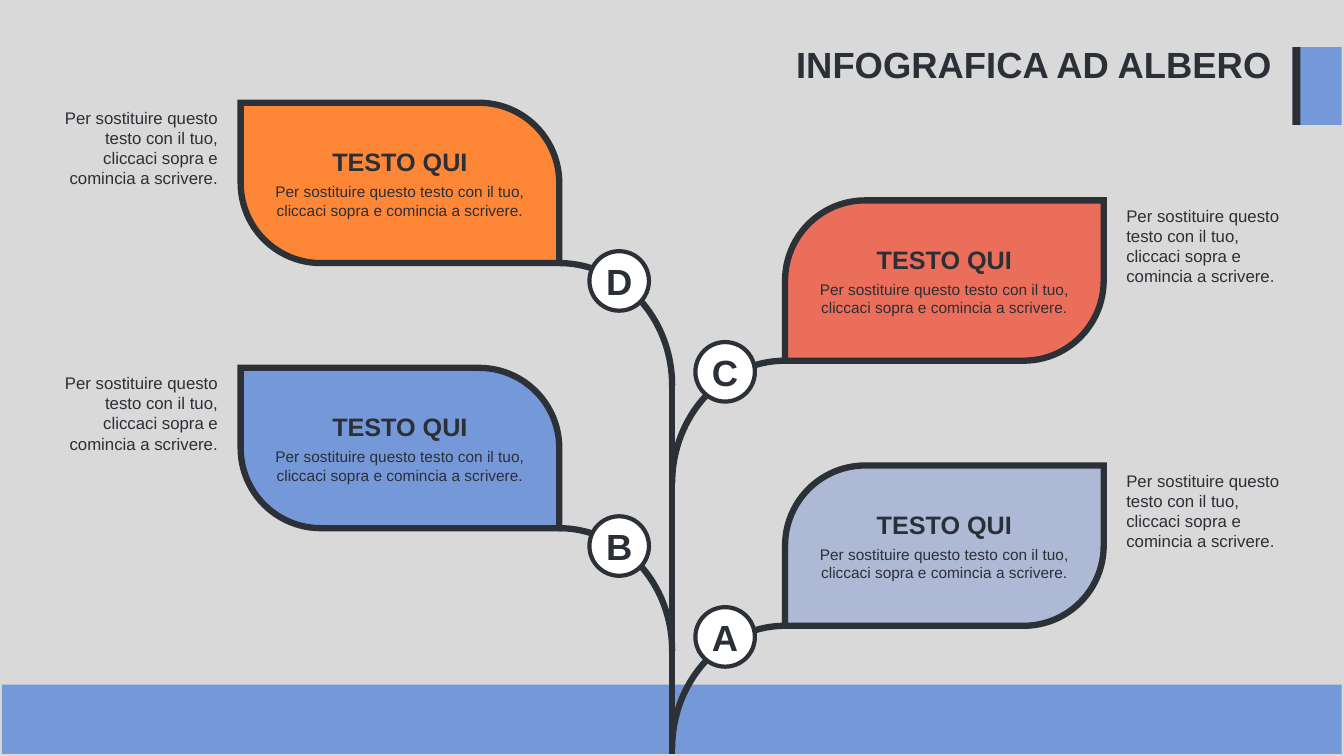
from dataclasses import dataclass

from lxml import etree
from pptx import Presentation
from pptx.dml.color import RGBColor
from pptx.enum.shapes import MSO_CONNECTOR, MSO_SHAPE
from pptx.enum.text import MSO_ANCHOR, MSO_AUTO_SIZE, PP_ALIGN
from pptx.oxml.ns import qn
from pptx.util import Cm, Pt

RECTANGLE, LEAF = MSO_SHAPE.RECTANGLE, MSO_SHAPE.ROUND_2_DIAG_RECTANGLE
ARC, OVAL = MSO_SHAPE.ARC, MSO_SHAPE.OVAL
STRAIGHT = MSO_CONNECTOR.STRAIGHT
LEFT, CENTER, RIGHT = PP_ALIGN.LEFT, PP_ALIGN.CENTER, PP_ALIGN.RIGHT
TOP, MIDDLE = MSO_ANCHOR.TOP, MSO_ANCHOR.MIDDLE
NO_AUTOFIT = MSO_AUTO_SIZE.NONE


@dataclass(frozen=True)
class Theme:
    font: str = "Arial"
    background: str = "D9D9D9"
    ink: str = "2B2F36"
    outline: str = "2C3037"
    blue: str = "7598D9"
    orange: str = "FE8637"
    red: str = "EB6E5A"
    pale: str = "AEBAD5"
    white: str = "FFFFFF"
    title_size: float = 26
    heading_size: float = 18
    note_size: float = 12
    body_size: float = 11
    branch_width: float = 4.5
    badge_width: float = 3


THEME = Theme()
HEADING = "TESTO QUI"
BODY = "Per sostituire questo testo con il tuo, cliccaci sopra e comincia a scrivere."

# Lengths in centimetres
SLIDE_WIDTH, SLIDE_HEIGHT = 33.87, 19.05
TRUNK_X = 16.94
LEAF_WIDTH, LEAF_HEIGHT = 8.03, 4.04
ARC_WIDTH, ARC_HEIGHT = 5.69, 6.17
BADGE_SIZE, BADGE_OFFSET = 1.5, 1.51
NOTE_WIDTH, NOTE_HEIGHT, NOTE_GAP = 4.47, 2.29, 0.32

# Letter, colour, leaf top, badge rise above the leaf's lower edge, on the left side
BRANCHES = [
    ("D", THEME.orange, 2.59, 0.3, True),
    ("C", THEME.red, 5.05, 0.47, False),
    ("B", THEME.blue, 9.27, 0.3, True),
    ("A", THEME.pale, 11.73, 0.47, False),
]


def add_figure(page, kind, box, fill=None, line_width=None):
    figure = page.shapes.add_shape(kind, *map(Cm, box))
    figure.shadow.inherit = False
    if fill:
        figure.fill.solid()
        figure.fill.fore_color.rgb = RGBColor.from_string(fill)
    else:
        figure.fill.background()
    if line_width:
        draw_line(figure.line, line_width)
    else:
        figure.line.fill.background()
    return figure


def draw_line(line, width):
    line.width = Pt(width)
    line.color.rgb = RGBColor.from_string(THEME.outline)


def write_text(frame, entries, align, **frame_format):
    """Fill a frame with (text, size, bold, space before) entries."""
    frame_format = {"word_wrap": True, "auto_size": NO_AUTOFIT, **frame_format}
    for name, value in frame_format.items():
        setattr(frame, name, value)
    for index, (text, size, bold, space) in enumerate(entries):
        para = frame.add_paragraph() if index else frame.paragraphs[0]
        para.alignment = align
        para.space_before = Pt(space)
        span = para.add_run()
        span.text = text
        span.font.color.rgb = RGBColor.from_string(THEME.ink)
        for name, value in {"name": THEME.font, "size": Pt(size), "bold": bold}.items():
            setattr(span.font, name, value)


def add_header(page, box):
    """Title at the left of the box, colour tab at its right end."""
    left, top, width, height = box
    tab_width, bar_width = 1.14, 0.2
    tab_left = left + width - tab_width
    add_figure(page, RECTANGLE, (tab_left, top, tab_width, height), THEME.blue)
    add_figure(page, RECTANGLE, (tab_left - 0.1, top, bar_width, height), THEME.ink)
    title = page.shapes.title
    title_box = (left, top - 0.25, 12.6, 1.35)
    for name, value in zip(("left", "top", "width", "height"), title_box):
        setattr(title, name, Cm(value))
    write_text(title.text_frame, [("INFOGRAFICA AD ALBERO", THEME.title_size, True, 0)],
               RIGHT, vertical_anchor=MIDDLE, word_wrap=False)


def add_trunk(page, box):
    left, top, width, height = box
    trunk = page.shapes.add_connector(
        STRAIGHT, Cm(left), Cm(top), Cm(left + width), Cm(top + height))
    draw_line(trunk.line, THEME.branch_width)
    etree.SubElement(trunk._element.spPr, qn("a:effectLst"))


def add_leaf(page, box, fill, on_left):
    leaf = add_figure(page, LEAF, box, fill, THEME.branch_width)
    leaf.adjustments[0], leaf.adjustments[1] = (0, 0.5) if on_left else (0.5, 0)
    outline = leaf._element.spPr.find(qn("a:ln"))
    etree.SubElement(outline, qn("a:miter"), lim="800000")
    entries = [(HEADING, THEME.heading_size, True, 0), (BODY, THEME.body_size, False, 4)]
    write_text(leaf.text_frame, entries, CENTER, vertical_anchor=MIDDLE)


def add_stem(page, corner_x, corner_y, on_left):
    """Quarter curve from the leaf's inner corner down to the trunk."""
    stem = add_figure(page, ARC, (corner_x - ARC_WIDTH / 2, corner_y, ARC_WIDTH, ARC_HEIGHT),
                      line_width=THEME.branch_width)
    # Angles in units of 0.6 degrees
    stem.adjustments[0], stem.adjustments[1] = (162, 0) if on_left else (108, 162)


def add_badge(page, box, letter):
    badge = add_figure(page, OVAL, box, THEME.white, THEME.badge_width)
    write_text(badge.text_frame, [(letter, THEME.title_size, True, 0)], CENTER,
               vertical_anchor=MIDDLE, word_wrap=False, margin_left=0,
               margin_right=0, margin_top=0, margin_bottom=0)


def add_note(page, box, align):
    note = page.shapes.add_textbox(*map(Cm, box))
    write_text(note.text_frame, [(BODY, THEME.note_size, False, 0)], align,
               vertical_anchor=TOP)


def add_branch(page, box, letter, fill, badge_rise, on_left):
    """Leaf in the box, with its stem and badge inside and its note outside."""
    left, top, width, height = box
    corner_x = left + width if on_left else left
    corner_y = top + height
    badge_x = corner_x + (BADGE_OFFSET if on_left else -BADGE_OFFSET)
    note_x = left - NOTE_GAP - NOTE_WIDTH if on_left else left + width + NOTE_GAP
    add_leaf(page, box, fill, on_left)
    add_stem(page, corner_x, corner_y, on_left)
    add_badge(page, (badge_x - BADGE_SIZE / 2, corner_y - badge_rise,
                     BADGE_SIZE, BADGE_SIZE), letter)
    add_note(page, (note_x, top, NOTE_WIDTH, NOTE_HEIGHT), RIGHT if on_left else LEFT)


def add_tree_page(deck):
    page = deck.slides.add_slide(deck.slide_layouts[5])
    page.background.fill.solid()
    page.background.fill.fore_color.rgb = RGBColor.from_string(THEME.background)

    # Ground and header
    add_figure(page, RECTANGLE, (0.05, 17.25, 33.76, 1.75), THEME.blue)
    add_header(page, (19.71, 1.19, 14.1, 1.96))

    # Tree
    add_trunk(page, (TRUNK_X, 9.7, 0, 9.3))
    reach = ARC_WIDTH / 2
    for letter, fill, top, badge_rise, on_left in BRANCHES:
        left = TRUNK_X - reach - LEAF_WIDTH if on_left else TRUNK_X + reach
        add_branch(page, (left, top, LEAF_WIDTH, LEAF_HEIGHT),
                   letter, fill, badge_rise, on_left)


def main():
    deck = Presentation()
    deck.slide_width, deck.slide_height = Cm(SLIDE_WIDTH), Cm(SLIDE_HEIGHT)
    add_tree_page(deck)
    deck.save("out.pptx")


if __name__ == "__main__":
    main()
